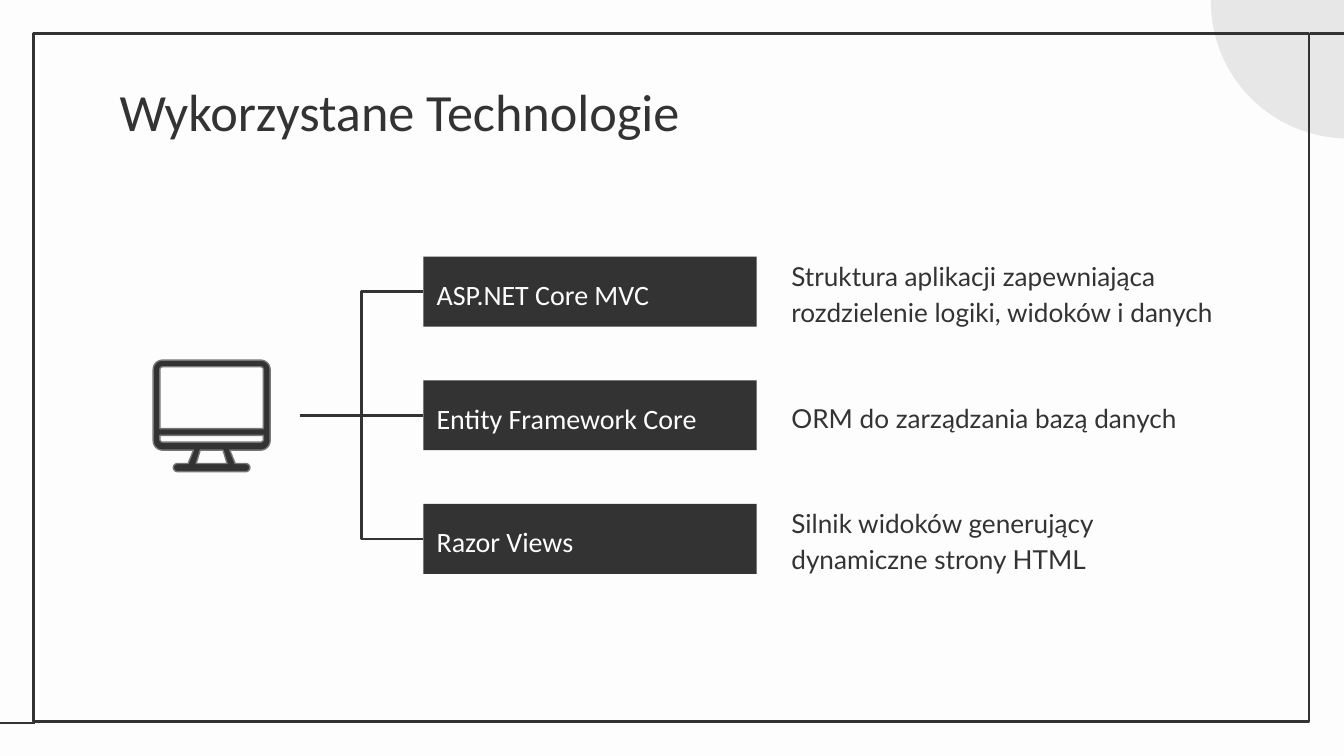
import math

import pptx
import pptx.dml.color
import pptx.enum.shapes
import pptx.enum.text
import pptx.oxml
import pptx.util
from pptx.util import Inches

DARK = pptx.dml.color.RGBColor(0x33, 0x33, 0x33)
PAPER = pptx.dml.color.RGBColor(0xFD, 0xFD, 0xFD)
PALE = pptx.dml.color.RGBColor(0xE8, 0xE7, 0xE7)
GREY = pptx.dml.color.RGBColor(0x77, 0x77, 0x77)

SHAPE = pptx.enum.shapes.MSO_SHAPE
CONNECTOR = pptx.enum.shapes.MSO_CONNECTOR
ANCHOR = pptx.enum.text.MSO_ANCHOR

TITLE_FONT = {"name": "Calibri", "size": pptx.util.Pt(28), "bold": False}
LABEL_FONT = {"name": "Calibri", "size": pptx.util.Pt(15)}
DETAIL_FONT = {"name": "Lato", "size": pptx.util.Pt(14)}

TECHNOLOGIES = [
    ("ASP.NET Core MVC",
     "Struktura aplikacji zapewniająca rozdzielenie logiki, widoków i danych"),
    ("Entity Framework Core", "ORM do zarządzania bazą danych"),
    ("Razor Views", "Silnik widoków generujący dynamiczne strony HTML"),
]
MIDDLE_Y, ROW_STEP = 3.09, 0.92
LABEL_X, LABEL_HEIGHT, DETAIL_HEIGHT = 3.15, 0.52, 0.77


def write(frame, text, font, color, anchor, spacing=1.0):
    margins = ("margin_left", "margin_top", "margin_right", "margin_bottom")
    settings = dict.fromkeys(margins, Inches(0.1))
    settings.update(word_wrap=True, vertical_anchor=anchor,
                    auto_size=pptx.enum.text.MSO_AUTO_SIZE.NONE)
    for key, value in settings.items():
        setattr(frame, key, value)
    frame.text = text
    paragraph = frame.paragraphs[0]
    paragraph.alignment = pptx.enum.text.PP_ALIGN.LEFT
    paragraph.line_spacing = spacing
    run_font = paragraph.runs[0].font
    for key, value in font.items():
        setattr(run_font, key, value)
    run_font.color.rgb = color


def paint(shape, fill=None, line=None, width=1.5):
    shape.shadow.inherit = False
    if fill is None:
        shape.fill.background()
    else:
        shape.fill.solid()
        shape.fill.fore_color.rgb = fill
    if line is None:
        shape.line.fill.background()
    else:
        shape.line.color.rgb = line
        shape.line.width = pptx.util.Pt(width)


def add_block(slide, kind, box, **look):
    shape = slide.shapes.add_shape(kind, *map(Inches, box))
    paint(shape, **look)
    return shape


def add_line(slide, kind, *ends):
    line = slide.shapes.add_connector(kind, *map(Inches, ends))
    line.line.color.rgb = DARK
    line.line.width = pptx.util.Pt(1.5)
    properties = line._element.spPr
    properties.append(pptx.oxml.parse_xml(
        '<a:effectLst xmlns:a="http://schemas.openxmlformats.org/drawingml/2006/main"/>'))


def arc(x, y, radius, start, sweep=90, steps=8):
    """Points on a circle, clockwise from start in degrees."""
    angles = [math.radians(start + sweep * i / steps) for i in range(steps + 1)]
    return [(x + radius * math.cos(a), y + radius * math.sin(a)) for a in angles]


def add_monitor(slide):
    left, right, top, bottom = 1.21, 1.94, 2.75, 3.28
    outline = [
        *arc(left, top, 0.07, 180), *arc(right, top, 0.07, 270),
        *arc(right, bottom, 0.07, 0), (1.71, 3.35), (1.75, 3.45),
        *arc(1.83, 3.48, 0.03, -90, 180), *arc(1.32, 3.48, 0.03, 90, 180),
        (1.4, 3.45), (1.44, 3.35), *arc(left, bottom, 0.07, 90),
    ]
    screen = [*arc(left, top, 0.02, 180), *arc(right, top, 0.02, 270),
              (1.96, 3.19), (1.19, 3.19)]
    strip = [(1.19, 3.24), (1.96, 3.24),
             *arc(right, 3.27, 0.02, 0), *arc(left, 3.27, 0.02, 90)]
    neck = [(1.66, 3.35), (1.69, 3.45), (1.46, 3.45), (1.49, 3.35)]

    contours = [[(Inches(x), Inches(y)) for x, y in contour]
                for contour in (outline, screen, strip, neck)]
    builder = slide.shapes.build_freeform(*contours[0][0])
    for contour in contours:
        builder.move_to(*contour[0])
        builder.add_line_segments(contour[1:], close=True)
    paint(builder.convert_to_shape(), fill=DARK, line=GREY, width=0.75)


def add_technology(slide, y, label, detail):
    block = add_block(slide, SHAPE.RECTANGLE,
                      (LABEL_X, y - LABEL_HEIGHT / 2, 2.48, LABEL_HEIGHT), fill=DARK)
    write(block.text_frame, label, LABEL_FONT, PAPER, ANCHOR.MIDDLE, 1.15)
    description = slide.shapes.add_textbox(
        *map(Inches, (5.79, y - DETAIL_HEIGHT / 2, 3.43, DETAIL_HEIGHT)))
    write(description.text_frame, detail, DETAIL_FONT, DARK, ANCHOR.MIDDLE, 1.15)
    add_line(slide, CONNECTOR.ELBOW, 2.23, MIDDLE_Y, LABEL_X, y)


def add_title(slide, text):
    title = slide.shapes.title
    box = {"left": 0.79, "top": 0.49, "width": 8.43, "height": 0.63}
    for key, value in box.items():
        setattr(title, key, Inches(value))
    write(title.text_frame, text, TITLE_FONT, DARK, ANCHOR.TOP)


def main():
    deck = pptx.Presentation()
    deck.slide_width = Inches(10)
    deck.slide_height = deck.slide_width * 9 // 16
    slide = deck.slides.add_slide(deck.slide_layouts[5])
    slide.background.fill.solid()
    slide.background.fill.fore_color.rgb = PAPER

    # Corner circle and frame
    add_block(slide, SHAPE.OVAL, (9.01, -1.01, 2.04, 2.04), fill=PALE)
    add_block(slide, SHAPE.RECTANGLE, (0.25, 0.25, 9.49, 5.12), line=DARK)
    add_line(slide, CONNECTOR.STRAIGHT, 0.26, 5.38, -0.02, 5.38)
    add_line(slide, CONNECTOR.STRAIGHT, 10.03, 0.25, 9.75, 0.25)

    add_title(slide, "Wykorzystane Technologie")

    # Technology tree
    for row, (label, detail) in enumerate(TECHNOLOGIES):
        add_technology(slide, MIDDLE_Y + (row - 1) * ROW_STEP, label, detail)
    add_monitor(slide)

    deck.save("out.pptx")


if __name__ == "__main__":
    main()
